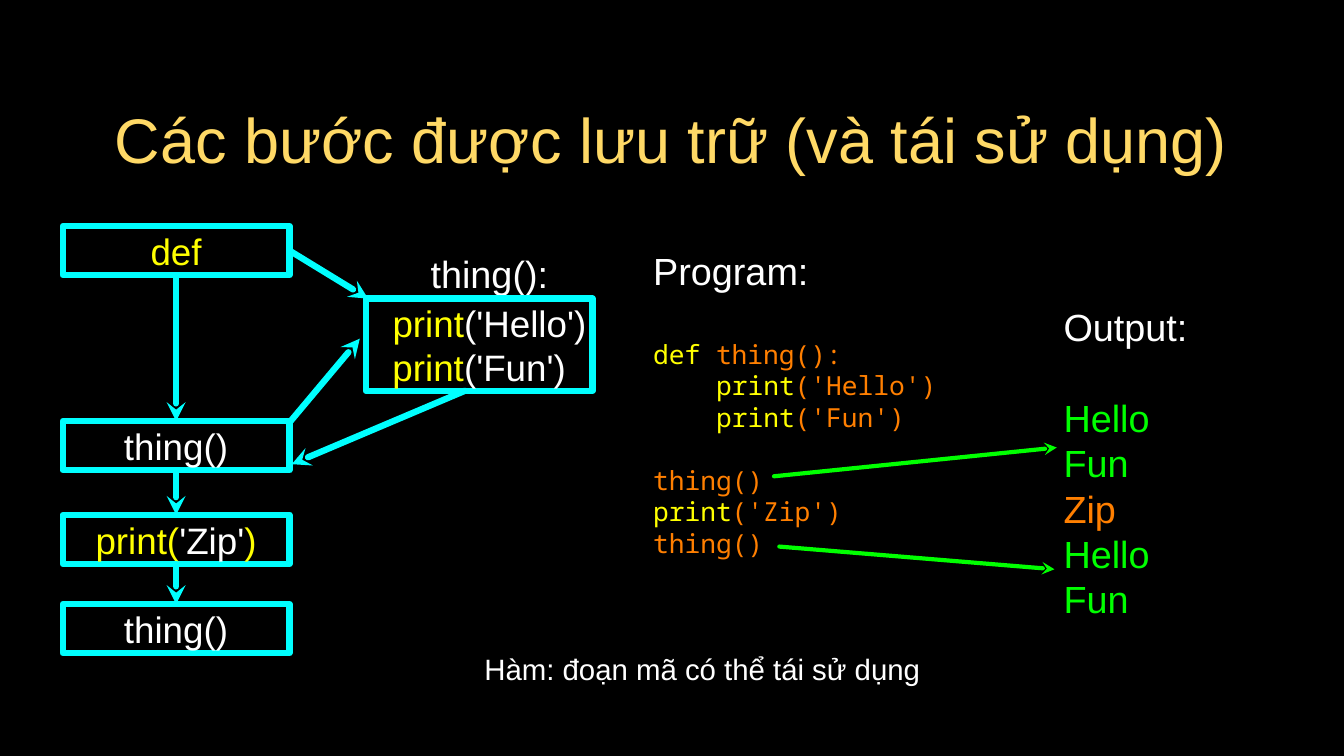
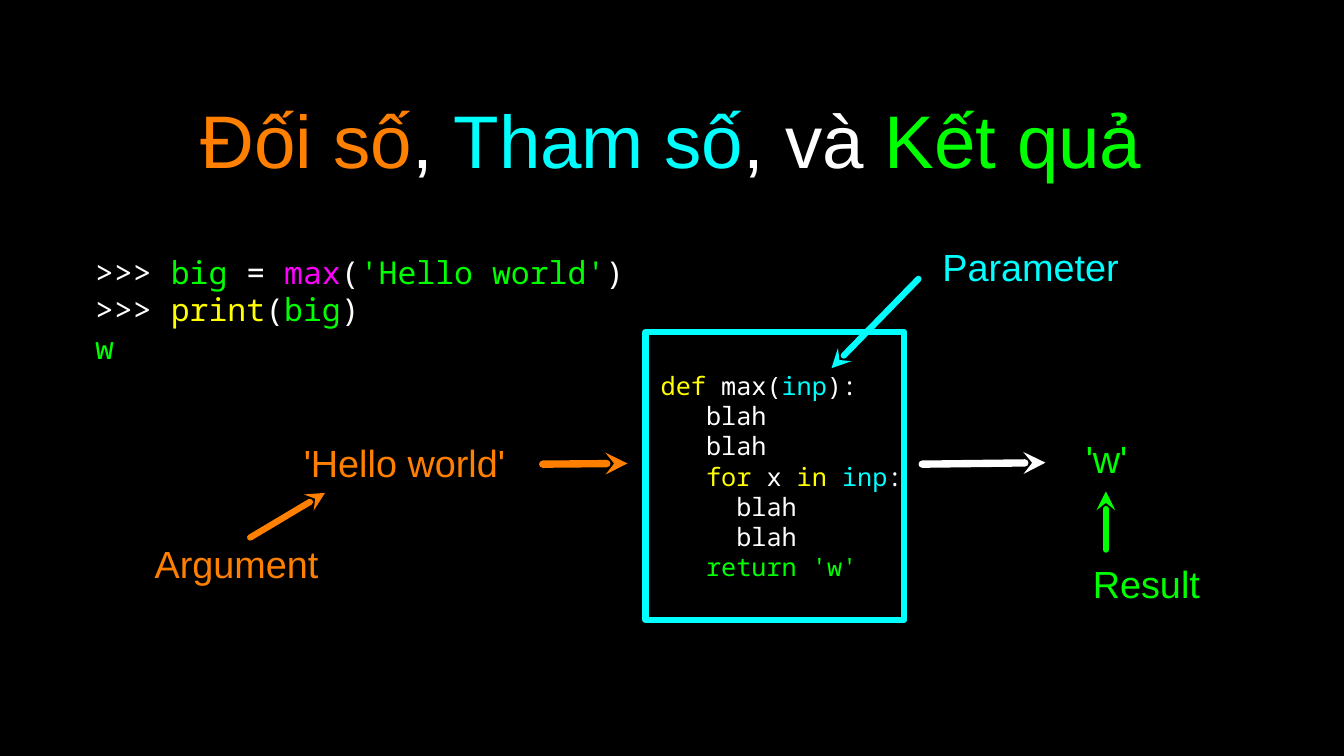
from dataclasses import dataclass

from lxml.etree import SubElement
from pptx import Presentation
from pptx.dml.color import RGBColor
from pptx.enum.shapes import MSO_CONNECTOR, MSO_SHAPE
from pptx.enum.text import MSO_ANCHOR, PP_ALIGN
from pptx.oxml.ns import qn
from pptx.util import Emu, Pt

SCALE = 9144  # 100 px to the inch
COLORS = {
    "black": "000000", "white": "FFFFFF", "gold": "FFD966",
    "cyan": "00FFFF", "green": "00FF00", "orange": "FF7F00",
    "yellow": "FFFF00", "pink": "FF00FF",
}
SANS, MONO = "Arial", "Noto Sans Mono"
WIDTH = {SANS: 0.28, MONO: 0.6}  # width of a space, in ems
LEAD = 1.2
TOP, BOTTOM, RIGHT = 0, 2, 3


def px(n):
    return Emu(n * SCALE)


def color(name):
    return RGBColor.from_string(COLORS[name])


@dataclass
class Line:
    """One paragraph: (text, colour) runs, indent in characters, gap in lines."""
    runs: list
    size: int = 36
    face: str = SANS
    indent: int = 0
    gap: float = 0


def plain(text, tint, size=36, gap=0):
    return Line([(text, tint)], size, gap=gap)


def code(size, *runs, indent=0, gap=0):
    return Line(list(runs), size, MONO, indent, gap)


class Deck:
    def __init__(self):
        self.prs = Presentation()
        self.prs.slide_width, self.prs.slide_height = px(1778), px(1000)
        fill = self.prs.slide_master.background.fill
        fill.solid()
        fill.fore_color.rgb = color("black")
        self.slide = None

    def start(self, title):
        """Start a slide with its title line."""
        self.slide = self.prs.slides.add_slide(self.prs.slide_layouts[5])
        shape = self.slide.shapes.title
        shape.left, shape.top, shape.width, shape.height = map(px, (126, 88, 1524, 190))
        self.typeset(shape, [title], PP_ALIGN.CENTER, 4)

    def typeset(self, shape, lines, align, inset=0):
        frame = shape.text_frame
        frame.word_wrap = True
        frame.vertical_anchor = MSO_ANCHOR.MIDDLE
        frame.margin_left = frame.margin_right = px(inset)
        frame.margin_top = frame.margin_bottom = px(inset)
        for i, line in enumerate(lines):
            para = frame.add_paragraph() if i else frame.paragraphs[0]
            para.alignment = align
            para.line_spacing = Pt(line.size * LEAD)
            para.space_before = Pt(line.gap * line.size * LEAD)
            para.font.size, para.font.name = Pt(line.size), line.face
            if line.indent:
                pad = Pt(line.indent * line.size * WIDTH[line.face])
                props = para._p.get_or_add_pPr()
                props.set("marL", str(pad))
                props.set("indent", "0")
            one = len({tint for _, tint in line.runs}) == 1
            if one:
                para.font.color.rgb = color(line.runs[0][1])
            for text, tint in line.runs:
                run = para.add_run()
                run.text = text
                if not one:
                    run.font.color.rgb = color(tint)

    def text(self, at, *lines, align=PP_ALIGN.CENTER):
        self.typeset(self.slide.shapes.add_textbox(*map(px, at)), lines, align)

    def box(self, at, *lines, align=PP_ALIGN.CENTER):
        shape = self.slide.shapes.add_shape(MSO_SHAPE.RECTANGLE, *map(px, at))
        shape.shadow.inherit = False
        shape.fill.background()
        shape.line.color.rgb = color("cyan")
        shape.line.width = Pt(6)
        self.typeset(shape, lines, align)
        return shape

    def arrow(self, start, end, tint="cyan", width=6):
        """Each end is an (x, y) point or a (shape, side) pair."""
        free = [isinstance(a, int) for a, _ in (start, end)]
        ends = [at if loose else (0, 0) for at, loose in zip((start, end), free)]
        link = self.slide.shapes.add_connector(
            MSO_CONNECTOR.STRAIGHT, *map(px, ends[0] + ends[1]))
        if not free[0]:
            link.begin_connect(*start)
        if not free[1]:
            link.end_connect(*end)
        link.line.color.rgb = color(tint)
        link.line.width = Pt(width)
        stroke = link.line._get_or_add_ln()
        stroke.set("cap", "rnd")
        SubElement(stroke, qn("a:round"))
        SubElement(stroke, qn("a:tailEnd"), type="stealth")
        SubElement(link._element.spPr, qn("a:effectLst"))


def steps(deck):
    deck.start(plain("Các bước được lưu trữ (và tái sử dụng)", "gold", 60))
    deck.text((1407, 407, 346, 410),
              plain("Output:", "white"),
              plain("Hello", "green", gap=1), plain("Fun", "green"),
              plain("Zip", "orange"),
              plain("Hello", "green"), plain("Fun", "green"),
              align=PP_ALIGN.LEFT)
    show = ("print", "yellow")
    deck.text((864, 325, 392, 416),
              plain("Program:", "white"),
              code(25, ("def", "yellow"), (" thing():", "orange"), gap=36 / 25),
              code(25, show, ("('Hello')", "orange"), indent=4),
              code(25, show, ("('Fun')", "orange"), indent=4),
              code(25, ("thing()", "orange"), gap=1),
              code(25, show, ("('Zip')", "orange")),
              code(25, ("thing()", "orange")),
              align=PP_ALIGN.LEFT)
    deck.arrow((1024, 630), (1398, 592), "green", 4)
    deck.arrow((1031, 723), (1395, 753), "green", 4)

    call = [("thing()", "white")]
    flow = [
        (299, [("def", "yellow")]),
        (557, call),
        (681, [("print(", "yellow"), ("'Zip'", "white"), (")", "yellow")]),
        (799, call),
    ]
    boxes = [deck.box((83, y, 300, 65), Line(runs, 35)) for y, runs in flow]
    for above, below in zip(boxes, boxes[1:]):
        deck.arrow((above, BOTTOM), (below, TOP))

    deck.text((551, 328, 193, 68), plain("thing():", "white"))
    deck.box((484, 395, 300, 122),
             Line([show, ("('Hello')", "white")], 35, indent=2),
             Line([show, ("('Fun')", "white")], 35))
    deck.arrow((boxes[0], RIGHT), (487, 395))
    deck.arrow((382, 560), (476, 448))
    deck.arrow((615, 517), (386, 614))
    deck.text((421, 850, 1016, 68),
              plain("Hàm: đoạn mã có thể tái sử dụng", "white", 28))


def values(deck):
    deck.start(Line([("Đối số", "orange"), (", ", "white"), ("Tham số", "cyan"),
                     (", và ", "white"), ("Kết quả", "green")], 71))
    ask, big = (">>> ", "white"), ("big", "green")
    left, right = ("(", "white"), (")", "white")
    deck.text((126, 318, 826, 182),
              code(30, ask, big, (" = ", "white"), ("max", "pink"), left,
                   ("'Hello world'", "green"), right),
              code(30, ask, ("print", "yellow"), left, big, right),
              code(30, ("w", "green")),
              align=PP_ALIGN.LEFT)
    blah, inp = ("blah", "white"), ("inp", "cyan")
    deck.box((854, 439, 342, 381),
             code(24, ("def", "yellow"), (" max(", "white"), inp, ("):", "white"),
                  indent=1),
             *[code(24, blah, indent=4)] * 2,
             code(24, ("for", "yellow"), (" x ", "white"), ("in ", "yellow"), inp,
                  (":", "white"), indent=4),
             *[code(24, blah, indent=6)] * 2,
             code(24, ("return 'w'", "green"), indent=4),
             align=PP_ALIGN.LEFT)
    labels = [
        ((386, 578, 312, 68), "'Hello world' ", "orange"),
        ((1429, 572, 70, 68), "'w'", "green"),
        ((186, 711, 254, 68), "Argument", "orange"),
        ((1228, 318, 271, 68), "Parameter", "cyan"),
        ((1424, 738, 185, 68), "Result", "green"),
    ]
    for at, word, tint in labels:
        deck.text(at, plain(word, tint))
    deck.arrow((718, 614), (830, 613), "orange", 7)
    deck.arrow((1220, 614), (1383, 612), "white", 7)
    deck.arrow((331, 711), (430, 652), "orange")
    deck.arrow((1215, 369), (1100, 487))
    deck.arrow((1463, 727), (1463, 650), "green")


def main():
    deck = Deck()
    steps(deck)
    values(deck)
    deck.prs.save("out.pptx")


if __name__ == "__main__":
    main()
